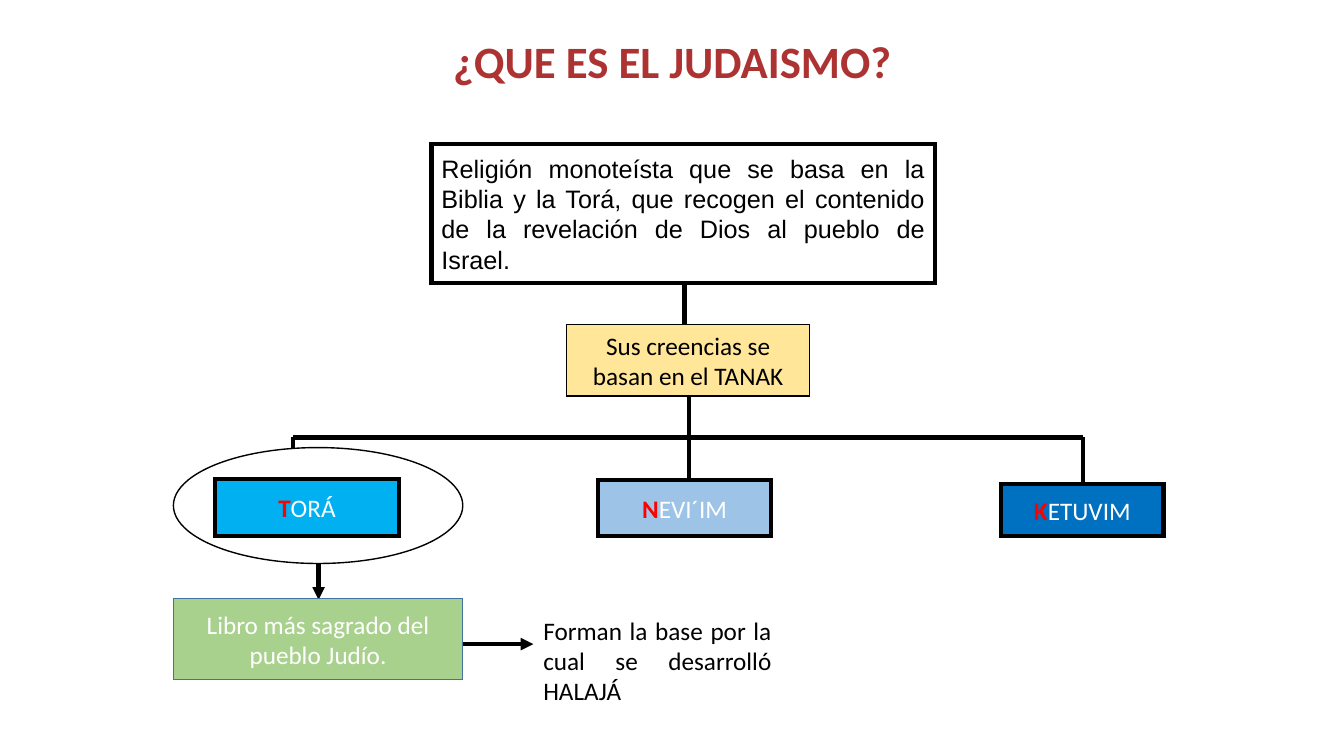
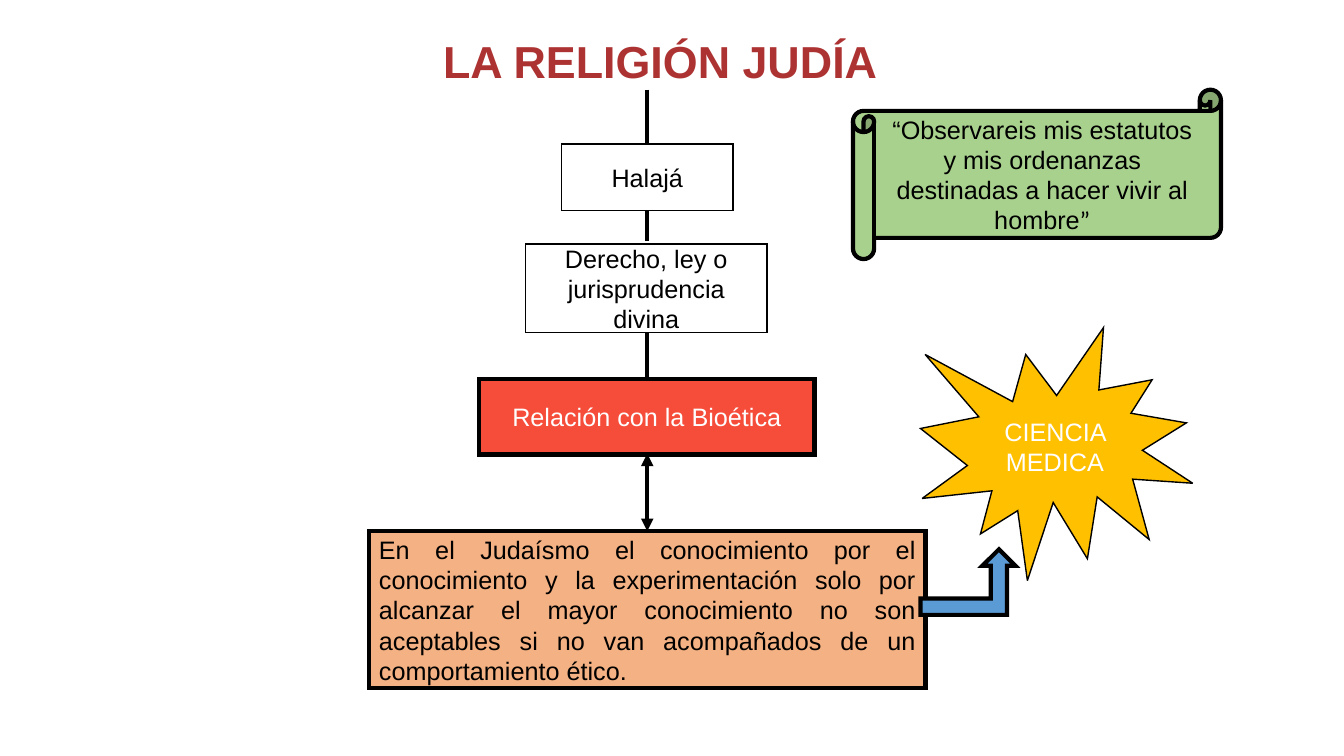
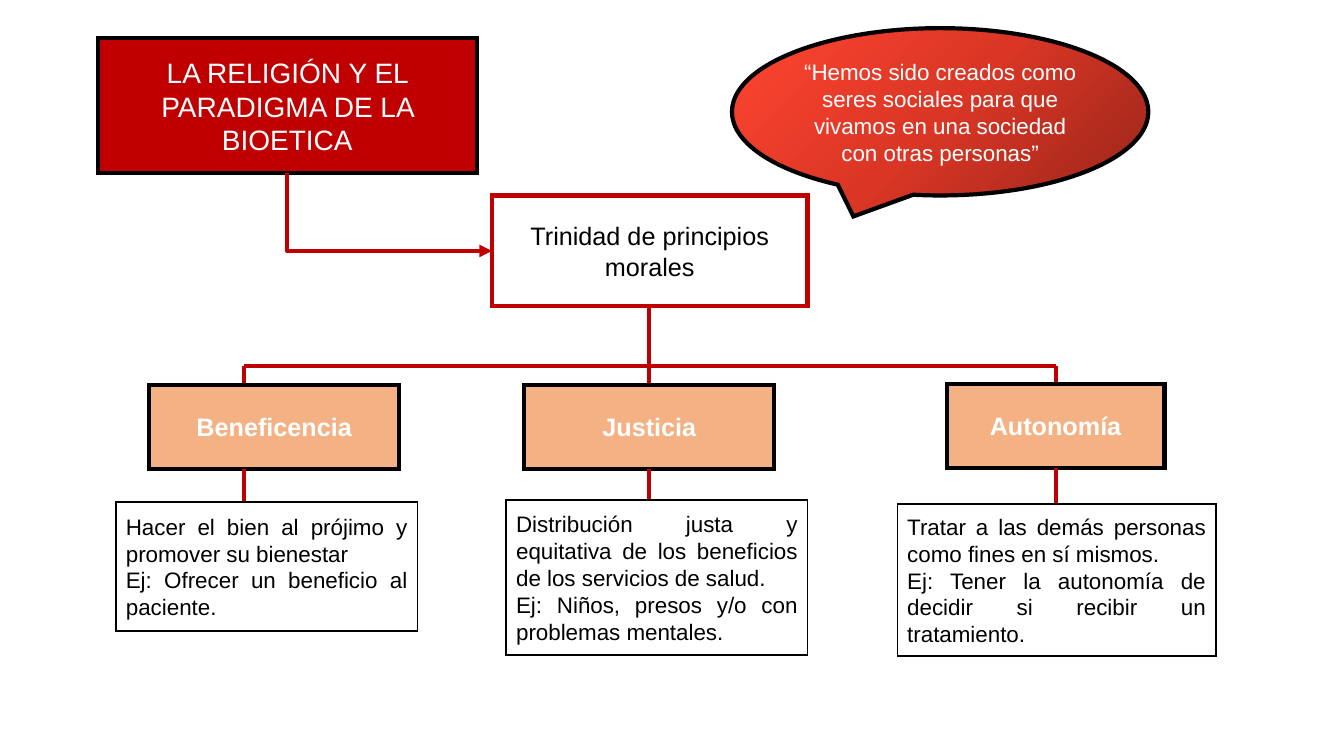
from copy import deepcopy

from pptx import Presentation
from pptx.dml.color import RGBColor
from pptx.enum.shapes import MSO_CONNECTOR, MSO_SHAPE
from pptx.enum.text import MSO_ANCHOR, PP_ALIGN
from pptx.oxml.ns import qn
from pptx.oxml.xmlchemy import OxmlElement
from pptx.util import Inches, Pt

RECTANGLE, ELLIPSE = MSO_SHAPE.RECTANGLE, MSO_SHAPE.OVAL
SCROLL, BURST = MSO_SHAPE.HORIZONTAL_SCROLL, MSO_SHAPE.EXPLOSION1
UP_ARROW, CALLOUT = MSO_SHAPE.BENT_UP_ARROW, MSO_SHAPE.OVAL_CALLOUT
STRAIGHT, ELBOW = MSO_CONNECTOR.STRAIGHT, MSO_CONNECTOR.ELBOW
CENTER, JUSTIFY = PP_ALIGN.CENTER, PP_ALIGN.JUSTIFY
TOP, MIDDLE = MSO_ANCHOR.TOP, MSO_ANCHOR.MIDDLE

BLACK, WHITE = RGBColor(0, 0, 0), RGBColor(255, 255, 255)
TITLE_RED = RGBColor(0xAD, 0x33, 0x33)
DARK_RED = RGBColor(0xC0, 0x00, 0x00)
INITIAL_RED = RGBColor(0xFF, 0x00, 0x00)
CORAL = RGBColor(0xF6, 0x4C, 0x3A)
CREAM = RGBColor(0xFF, 0xE6, 0x99)
GREEN = RGBColor(0xA9, 0xD1, 0x8E)
PEACH = RGBColor(0xF4, 0xB1, 0x83)
GOLD = RGBColor(0xFF, 0xC0, 0x00)
CYAN = RGBColor(0x00, 0xB0, 0xF0)
LIGHT_BLUE = RGBColor(0x9D, 0xC3, 0xE6)
STRONG_BLUE = RGBColor(0x00, 0x70, 0xC0)
ARROW_BLUE = RGBColor(0x5B, 0x9B, 0xD5)
EDGE_BLUE = RGBColor(0x43, 0x73, 0x9E)
CALLOUT_STOPS = [(0, RGBColor(0x9A, 0x26, 0x1A)),
                 (0.5, RGBColor(0xDB, 0x36, 0x25)),
                 (1, RGBColor(0xFF, 0x45, 0x31))]
SANS, HUMANIST = "Arial", "Calibri"
THICK, THIN = 3, 1

# Content: places are left, top, width, height in inches
TANAK_BOOKS = [
    ("TORÁ", CYAN, (2.13, 4.75, 1.83, 0.57)),
    ("NEVI´IM", LIGHT_BLUE, (5.93, 4.76, 1.72, 0.56)),
    ("KETUVIM", STRONG_BLUE, (9.93, 4.8, 1.61, 0.52)),
]
LAW_BOXES = [
    ("Halajá", (5.57, 1.43, 1.7, 0.66)),
    ("Derecho, ley o jurisprudencia divina", (5.21, 2.42, 2.4, 0.88)),
]
LAW_LINKS = [(0.89, 1.43), (2.09, 2.39), (3.3, 3.76)]
PRINCIPLES = [
    ("Beneficencia", (1.48, 3.82, 2.48, 0.83), 2.42,
     "Hacer el bien al prójimo y promover su bienestar\n"
     "Ej: Ofrecer un beneficio al paciente.", (1.15, 4.98, 2.99, 1.28)),
    ("Justicia", (5.2, 3.82, 2.48, 0.83), 6.44,
     "Distribución justa y equitativa de los beneficios de los servicios "
     "de salud.\nEj: Niños, presos y/o con problemas mentales.",
     (5.02, 4.96, 2.99, 1.54)),
    ("Autonomía", (9.39, 3.81, 2.16, 0.83), 10.47,
     "Tratar a las demás personas como fines en sí mismos.\n"
     "Ej: Tener la autonomía de decidir si recibir un tratamiento.",
     (8.9, 5, 3.16, 1.51)),
]


def write_text(shape, text, size=18, font=SANS, color=BLACK, bold=False,
               align=CENTER, anchor=MIDDLE, spacing=None):
    frame = shape.text_frame
    frame.word_wrap = True
    frame.vertical_anchor = anchor
    frame.text = text
    for paragraph in frame.paragraphs:
        paragraph.alignment = align
        if spacing:
            paragraph.line_spacing = spacing
        for run in paragraph.runs:
            run.font.size, run.font.name = Pt(size), font
            run.font.bold, run.font.color.rgb = bold, color


def split_run(shape, index):
    """Cut the only run of a shape in two and return both."""
    paragraph = shape.text_frame.paragraphs[0]
    text = paragraph.text
    first = paragraph.runs[0]._r
    first.addnext(deepcopy(first))
    start, rest = paragraph.runs
    start.text, rest.text = text[:index], text[index:]
    return start, rest


def add_title(slide, text, left, font):
    title = slide.shapes.add_textbox(*map(Inches, (left, 0.35, 11.5, 1.08)))
    write_text(title, text, 32, font, TITLE_RED, True, anchor=TOP, spacing=0.9)


def add_box(slide, place, text="", fill=WHITE, width=THICK, edge=BLACK,
            kind=RECTANGLE, **style):
    shape = slide.shapes.add_shape(kind, *map(Inches, place))
    shape.shadow.inherit = False
    shape.fill.solid()
    shape.fill.fore_color.rgb = fill
    shape.line.color.rgb = edge
    shape.line.width = Pt(width)
    miter = OxmlElement("a:miter")
    miter.set("lim", "800000")
    shape.line._get_or_add_ln().append(miter)
    if text:
        write_text(shape, text, **style)
    return shape


def add_line(slide, begin, end, color=BLACK, kind=STRAIGHT, arrows=()):
    line = slide.shapes.add_connector(kind, *map(Inches, (*begin, *end)))
    line.line.color.rgb = color
    line.line.width = Pt(THICK)
    for arrow in arrows:
        tip = OxmlElement(f"a:{arrow}")
        tip.set("type", "triangle")
        line.line._get_or_add_ln().append(tip)
    line._element.spPr.append(OxmlElement("a:effectLst"))
    return line


def add_corner_arrow(slide, begin, end, color):
    """Go down from begin, then right to end: a one-bend elbow turned by 270°."""
    (x1, y1), (x2, y2) = begin, end
    middle_x, middle_y = (x1 + x2) / 2, (y1 + y2) / 2
    half_width, half_height = (y2 - y1) / 2, (x2 - x1) / 2
    line = add_line(slide, (middle_x - half_width, middle_y - half_height),
                    (middle_x + half_width, middle_y + half_height),
                    color, ELBOW, ["tailEnd"])
    properties = line._element.spPr
    properties.find(qn("a:prstGeom")).set("prst", "bentConnector2")
    transform = properties.find(qn("a:xfrm"))
    transform.set("rot", str(270 * 60000))
    transform.set("flipH", "1")


def add_tree(slide, top, bus, bottom, columns, color=BLACK):
    """Trunk down the middle column, a crossbar and a drop to each side."""
    left, middle, right = columns
    add_line(slide, (middle, top), (middle, bottom), color)
    add_line(slide, (left, bus), (right, bus), color)
    for column in (left, right):
        add_line(slide, (column, bus), (column, bottom), color)


def fill_gradient(shape, stops, angle):
    shape.fill.gradient()
    shape.fill.gradient_angle = angle
    stop_list = shape._element.spPr.find(qn("a:gradFill")).find(qn("a:gsLst"))
    stop_list.append(deepcopy(stop_list[0]))
    for stop, (position, color) in zip(shape.fill.gradient_stops, stops):
        stop.position = position
        stop.color.rgb = color


def build_judaism(slide):
    add_title(slide, "¿QUE ES EL JUDAISMO?", 0.92, HUMANIST)
    add_box(slide, (4.28, 1.43, 4.99, 1.38),
            "Religión monoteísta que se basa en la Biblia y la Torá, que "
            "recogen el contenido de la revelación de Dios al pueblo de "
            "Israel.", align=JUSTIFY)
    add_box(slide, (5.62, 3.22, 2.41, 0.71),
            "Sus creencias se basan en el TANAK", CREAM, THIN, font=HUMANIST)
    add_line(slide, (6.79, 2.81), (6.79, 3.22))
    add_tree(slide, 3.93, 4.34, 4.8, (2.91, 6.83, 10.74))

    # The three books, with the first one circled
    add_box(slide, (1.72, 4.44, 2.87, 1.15), width=THIN, kind=ELLIPSE)
    for name, fill, place in TANAK_BOOKS:
        book = add_box(slide, place, name, fill, font=HUMANIST, color=WHITE)
        initial, _ = split_run(book, 1)
        initial.font.bold, initial.font.color.rgb = True, INITIAL_RED

    # What follows from the Torah
    add_line(slide, (3.16, 5.59), (3.16, 5.95), arrows=["tailEnd"])
    add_box(slide, (1.72, 5.94, 2.87, 0.8),
            "Libro más sagrado del pueblo Judío.", GREEN, THIN, EDGE_BLUE,
            font=HUMANIST, color=WHITE)
    add_line(slide, (4.59, 6.39), (5.29, 6.39), arrows=["tailEnd"])
    note = slide.shapes.add_textbox(*map(Inches, (5.29, 6.05, 2.46, 1.01)))
    write_text(note, "Forman la base por la cual se desarrolló HALAJÁ",
               font=HUMANIST, align=JUSTIFY, anchor=TOP)


def build_religion(slide):
    add_title(slide, "LA RELIGIÓN JUDÍA", 0.8, SANS)

    # Chain from the law to bioethics
    axis = 6.42
    for top, bottom in LAW_LINKS:
        add_line(slide, (axis, top), (axis, bottom))
    for text, place in LAW_BOXES:
        add_box(slide, place, text, width=THIN)
    add_box(slide, (4.75, 3.76, 3.33, 0.75), "Relación con la Bioética",
            CORAL, color=WHITE)
    add_box(slide, (3.66, 5.27, 5.52, 1.56),
            "En el Judaísmo el conocimiento por el conocimiento y la "
            "experimentación solo por alcanzar el mayor conocimiento no son "
            "aceptables si no van acompañados de un comportamiento ético.",
            PEACH, align=JUSTIFY)
    add_line(slide, (axis, 4.5), (axis, 5.27), arrows=["headEnd", "tailEnd"])

    # Quotation and medical science
    quote = add_box(slide, (8.46, 0.89, 3.65, 1.68),
                    "“Observareis mis estatutos y mis ordenanzas destinadas "
                    "a hacer vivir al hombre”", GREEN, kind=SCROLL)
    _, closing_mark = split_run(quote, -1)
    closing_mark.font.name = HUMANIST
    add_box(slide, (9.13, 3.25, 2.7, 2.51), "CIENCIA MEDICA", GOLD, THIN,
            kind=BURST, color=WHITE)
    add_box(slide, (9.13, 5.45, 0.94, 0.65), fill=ARROW_BLUE, kind=UP_ARROW)


def build_paradigm(slide):
    add_box(slide, (0.97, 0.38, 3.76, 1.34),
            "LA RELIGIÓN Y EL PARADIGMA DE LA BIOETICA", DARK_RED,
            size=20, color=WHITE)
    add_box(slide, (4.88, 1.94, 3.13, 1.1), "Trinidad de principios morales",
            edge=DARK_RED)
    add_corner_arrow(slide, (2.85, 1.72), (4.88, 2.49), DARK_RED)

    # Principles, each with its explanation
    columns = [column for _, _, column, _, _ in PRINCIPLES]
    add_tree(slide, 3.04, 3.63, 4.14, columns, DARK_RED)
    for name, place, column, detail, detail_place in PRINCIPLES:
        add_box(slide, place, name, PEACH, color=WHITE, bold=True)
        add_line(slide, (column, place[1] + place[3]),
                 (column, detail_place[1]), DARK_RED)
        add_box(slide, detail_place, detail, width=THIN, size=16,
                align=JUSTIFY)

    # Quotation
    callout = add_box(slide, (7.26, 0.28, 4.13, 1.66),
                      "“Hemos sido creados como seres sociales para que "
                      "vivamos en una sociedad con otras personas”",
                      kind=CALLOUT, size=16, color=WHITE)
    fill_gradient(callout, CALLOUT_STOPS, 135)


def main():
    presentation = Presentation()
    presentation.slide_width = Inches(13.33)
    presentation.slide_height = Inches(7.5)
    blank = presentation.slide_layouts[6]
    for build in (build_judaism, build_religion, build_paradigm):
        build(presentation.slides.add_slide(blank))
    presentation.save("out.pptx")


if __name__ == "__main__":
    main()
